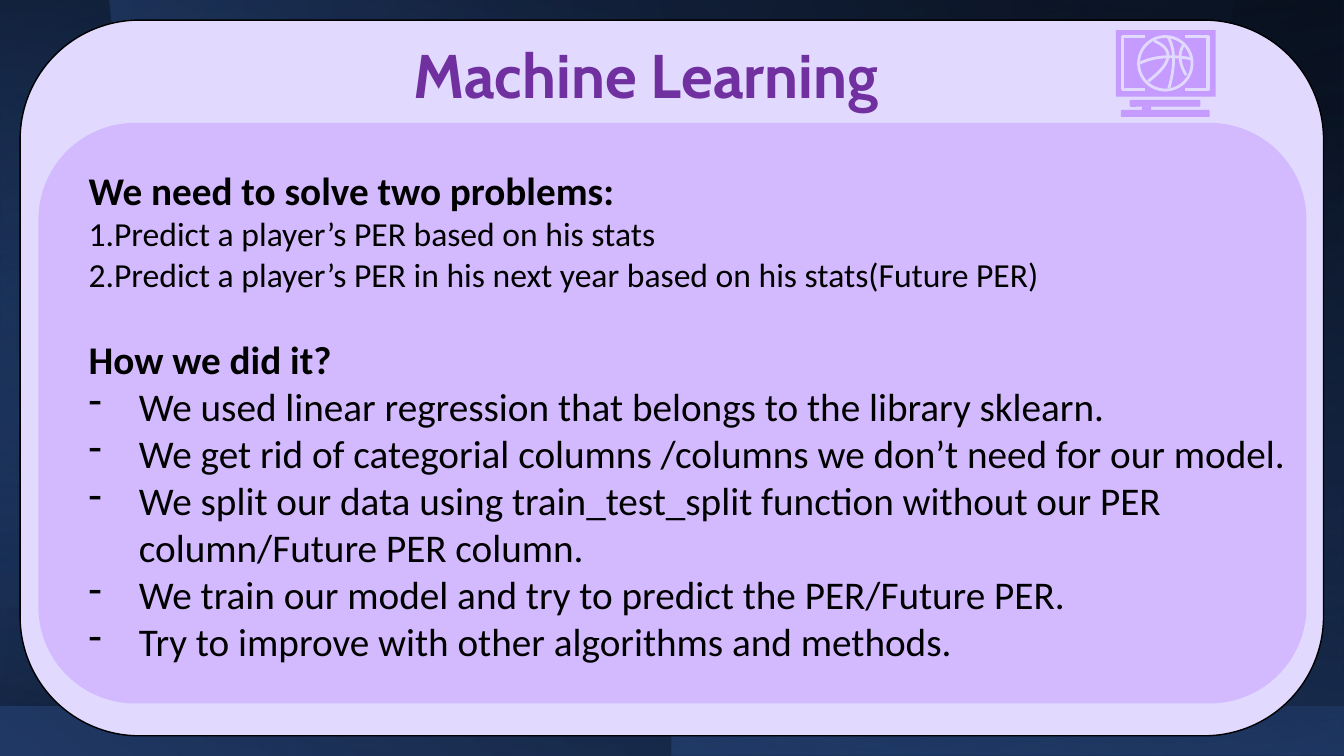
import math
from dataclasses import dataclass

from lxml import etree
from pptx import Presentation
from pptx.dml.color import RGBColor
from pptx.enum import shapes as kinds, text as txt
from pptx.oxml import ns
from pptx.util import Pt

WIDTH, HEIGHT = 960, 540


@dataclass(frozen=True)
class Theme:
    navy: str = "203864"
    blue: str = "2F5597"
    sky: str = "4472C4"
    black: str = "000000"
    card: str = "E1DAFE"
    lilac: str = "C69BFF"
    purple: str = "7030A0"
    title_font: str = "Cabin"
    body_font: str = "Calibri"
    title_size: float = 44
    body_size: float = 28
    problem_size: float = 24


THEME = Theme()
KIND = kinds.MSO_SHAPE

PROBLEMS = [
    "1.Predict a player’s PER based on his stats",
    "2.Predict a player’s PER in his next year based on his stats(Future PER)",
]
STEPS = [
    "We used linear regression that belongs to the library sklearn.",
    "We get rid of categorial columns /columns we don’t need for our model.",
    "We split our data using train_test_split function without our PER column/Future PER column.",
    "We train our model and try to predict the PER/Future PER.",
    "Try to improve with other algorithms and methods.",
]


def rgb(color):
    return RGBColor.from_string(color)


def set_opacity(shape, opacities):
    colors = shape._element.spPr.iter(ns.qn("a:srgbClr"))
    for color, opacity in zip(colors, opacities):
        if opacity < 100:
            etree.SubElement(color, ns.qn("a:alpha"), val=str(opacity * 1000))


def add_filled(slide, kind, box, color, opacity=100):
    shape = slide.shapes.add_shape(kind, *map(Pt, box))
    shape.shadow.inherit = False
    shape.fill.solid()
    shape.fill.fore_color.rgb = rgb(color)
    shape.line.fill.background()
    set_opacity(shape, [opacity])
    return shape


def fill_gradient(shape, stops, clockwise):
    """Each stop is (position %, colour, opacity %)."""
    shape.fill.gradient()
    shape.fill.gradient_angle = (360 - clockwise) % 360
    for stop, (position, color, _) in zip(shape.fill.gradient_stops, stops):
        stop.position = position / 100
        stop.color.rgb = rgb(color)
    set_opacity(shape, [opacity for _, _, opacity in stops])


def add_gradient_layer(slide, box, stops, clockwise, flip=True, rotation=0):
    layer = add_filled(slide, KIND.RECTANGLE, box, THEME.navy)
    fill_gradient(layer, stops, clockwise)
    layer.rotation = rotation
    if flip:
        layer._element.spPr.find(ns.qn("a:xfrm")).set("flipH", "1")


def add_outline(slide, points, close):
    points = [(Pt(x), Pt(y)) for x, y in points]
    builder = slide.shapes.build_freeform(*points[0], scale=1.0)
    builder.add_line_segments(points[1:], close=close)
    outline = builder.convert_to_shape()
    outline.shadow.inherit = False
    return outline


def set_stroke(shape, width):
    shape.fill.background()
    shape.line.color.rgb = rgb(THEME.card)
    shape.line.width = Pt(width)


def curve_through(start, middle, end, steps=16):
    """Points of a parabola that passes the three given points."""
    def at(t):
        weights = (1 - t) * (1 - 2 * t), 4 * t * (1 - t), t * (2 * t - 1)
        return tuple(sum(w * p for w, p in zip(weights, axis))
                     for axis in zip(start, middle, end))
    return [at(i / steps) for i in range(steps + 1)]


def add_text_box(slide, box):
    frame = slide.shapes.add_textbox(*map(Pt, box)).text_frame
    frame.word_wrap = True
    frame.auto_size = txt.MSO_AUTO_SIZE.SHAPE_TO_FIT_TEXT
    return frame


def write(paragraph, content, font, size, color, bold=False):
    paragraph.text = content
    for run in paragraph.runs:
        run.font.name = font
        run.font.size = Pt(size)
        run.font.bold = bold
        run.font.color.rgb = rgb(color)


def add_dash(paragraph, indent):
    properties = paragraph._p.get_or_add_pPr()
    properties.set("marL", str(Pt(indent)))
    properties.set("indent", str(-Pt(indent)))
    etree.SubElement(properties, ns.qn("a:buChar"), char="-")


def add_backdrop(slide):
    navy, blue, black = THEME.navy, THEME.blue, THEME.black
    full = (0, 0, WIDTH, HEIGHT)
    add_gradient_layer(slide, full, [(0, navy, 100), (100, black, 100)], 230)
    add_gradient_layer(slide, (0, 0, WIDTH, 504), [(1, blue, 59), (100, black, 100)],
                       250, flip=False, rotation=180)
    add_gradient_layer(slide, (210, -210, HEIGHT, WIDTH),
                       [(13, navy, 0), (99, black, 28)], 0, rotation=90)
    add_gradient_layer(slide, (WIDTH / 2, 0, WIDTH / 2, HEIGHT),
                       [(13, navy, 0), (99, blue, 50)], 100)
    add_gradient_layer(slide, full, [(13, black, 35), (99, blue, 0)], 80)

    # Glow: the part of a large disc below the top edge
    radius, center_y = 402.5, -29.5
    first = math.asin(-center_y / radius)
    angles = [first + (math.pi - 2 * first) * i / 60 for i in range(61)]
    glow = add_outline(slide, [(WIDTH / 2 + radius * math.cos(a),
                                center_y + radius * math.sin(a)) for a in angles], True)
    glow.line.fill.background()
    fill_gradient(glow, [(7, navy, 4), (99, THEME.sky, 24)], 170)


def add_computer_icon(slide):
    # Screen and stand
    for kind, box in [
        (KIND.RECTANGLE, (797, 21.6, 71.3, 47.5)),
        (KIND.ROUNDED_RECTANGLE, (807, 71.3, 50.4, 5)),
        (KIND.RECTANGLE, (815.8, 76, 6.5, 3)),
        (KIND.ROUND_2_SAME_RECTANGLE, (800.6, 78.5, 63.4, 5)),
    ]:
        add_filled(slide, kind, box, THEME.lilac)

    # Brackets
    for outer, inner in [(801.7, 817.9), (862.9, 846.7)]:
        bracket = [(inner, 26.3), (outer, 26.3), (outer, 63.7), (inner, 63.7)]
        set_stroke(add_outline(slide, bracket, False), 2.2)

    # Ball and its seams
    ball = add_filled(slide, KIND.OVAL, (813.3, 26.1, 38.2, 38.2), THEME.lilac)
    set_stroke(ball, 2)
    for seam in [
        ((824.4, 29.2), (834.2, 41), (820.2, 58)),
        ((814.4, 45), (831, 40.7), (851, 42)),
        ((834.5, 26.6), (838.3, 42), (835, 63)),
        ((845.3, 32.2), (843, 42), (847.2, 53.6)),
    ]:
        set_stroke(add_outline(slide, curve_through(*seam), False), 2)


def add_body(slide):
    frame = add_text_box(slide, (56.2, 115.2, 882.7, 388))
    big, small = THEME.body_size, THEME.problem_size
    lines = [("We need to solve two problems:", big, True)]
    lines += [(problem, small, False) for problem in PROBLEMS]
    lines += [("How we did it?", big, True)]
    lines += [(step, big, False) for step in STEPS]
    for i, (content, size, bold) in enumerate(lines):
        paragraph = frame.paragraphs[0] if i == 0 else frame.add_paragraph()
        if bold and i > 0:
            paragraph.space_before = Pt(29.3)
        if content in STEPS:
            add_dash(paragraph, 36)
        write(paragraph, content, THEME.body_font, size, THEME.black, bold)


def main():
    deck = Presentation()
    deck.slide_width, deck.slide_height = Pt(WIDTH), Pt(HEIGHT)
    slide = deck.slides.add_slide(deck.slide_layouts[6])

    add_backdrop(slide)

    # Card with title and panel
    card = add_filled(slide, KIND.ROUNDED_RECTANGLE, (14.4, 14.4, 931, 511.2), THEME.card)
    card.line.color.rgb = rgb(THEME.black)
    card.line.width = Pt(1)
    title = add_text_box(slide, (156.2, 28.8, 610.6, 55.4)).paragraphs[0]
    title.alignment = txt.PP_ALIGN.CENTER
    title.line_spacing = 0.9
    title.space_after = Pt(6)
    write(title, "Machine Learning", THEME.title_font, THEME.title_size, THEME.purple, True)
    add_filled(slide, KIND.ROUNDED_RECTANGLE, (27.4, 87.8, 905.8, 414.7), THEME.lilac, 50)

    add_body(slide)
    add_computer_icon(slide)
    deck.save("out.pptx")


if __name__ == "__main__":
    main()
